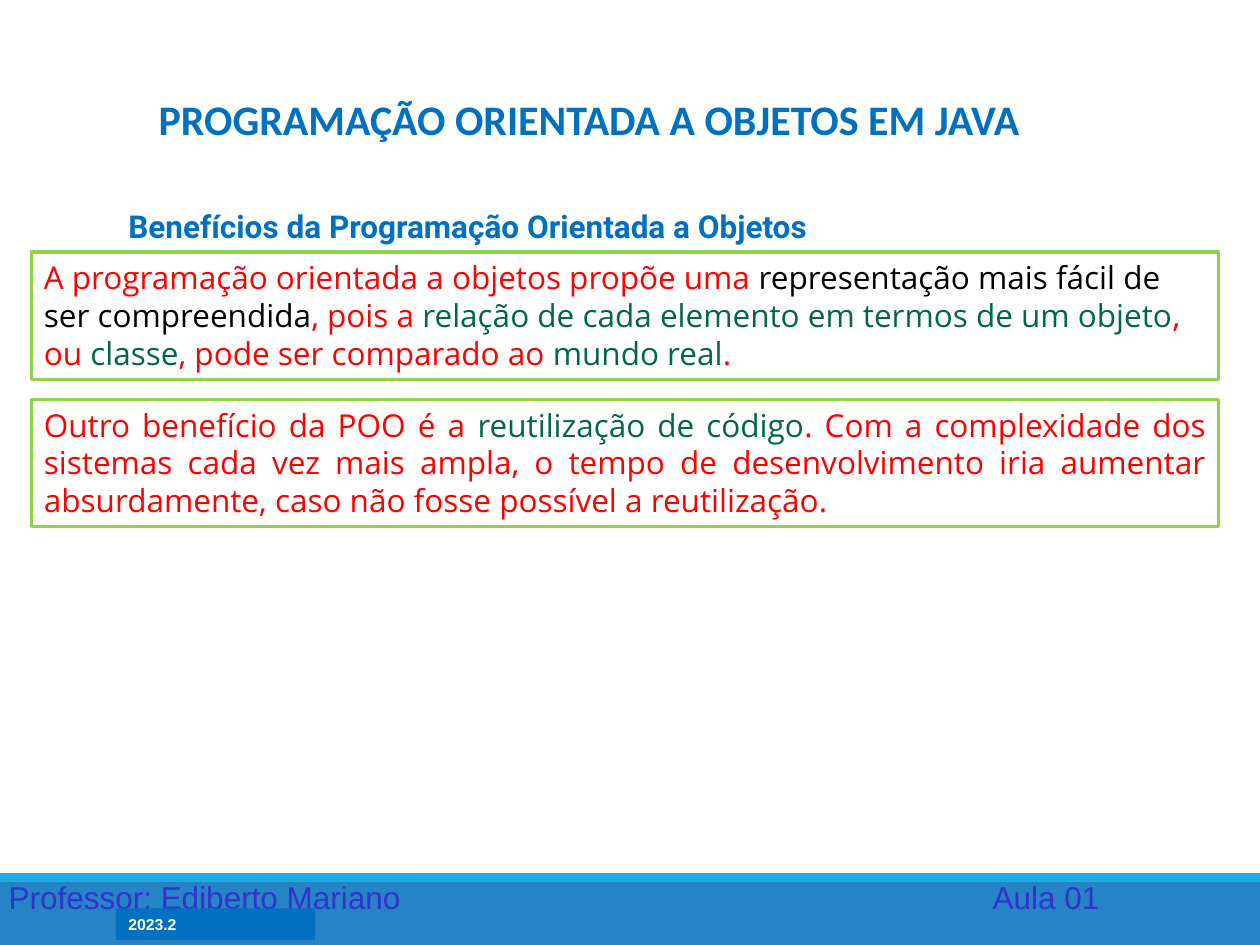
from lxml.etree import SubElement
from pptx import Presentation
from pptx.dml.color import RGBColor
from pptx.enum.shapes import MSO_SHAPE
from pptx.enum.text import MSO_ANCHOR, PP_ALIGN
from pptx.oxml.ns import qn
from pptx.util import Inches, Pt

WIDTH, HEIGHT = 10, 7.5
COLORS = {
    "band": "2683C6",
    "stripe": "1CADE4",
    "blue": "0070C0",
    "footer": "3333CC",
    "frame": "92D050",
    "red": "FF0000",
    "green": "00664D",
    "black": "000000",
    "white": "FFFFFF",
}

FRAME_LEFT, FRAME_WIDTH, FRAME_HEIGHT = 0.25, 9.42, 1.01
FRAME_TOP, FRAME_STEP = 2.0, 1.17

BENEFITS = [
    (PP_ALIGN.LEFT, [
        ("A programação orientada a objetos propõe uma ", "red"),
        ("representação mais fácil de ser compreendida", "black"),
        (", pois a ", "red"),
        ("relação de cada elemento em termos de um objeto", "green"),
        (", ou ", "red"),
        ("classe", "green"),
        (", pode ser comparado ao ", "red"),
        ("mundo real", "green"),
        (".", "red"),
    ]),
    (PP_ALIGN.JUSTIFY, [
        ("Outro benefício da POO é a ", "red"),
        ("reutilização de código", "green"),
        (". Com a complexidade dos sistemas cada vez mais ampla, o tempo de "
         "desenvolvimento iria aumentar absurdamente, caso não fosse possível "
         "a reutilização.", "red"),
    ]),
]


def color(name):
    return RGBColor.from_string(COLORS[name])


def add_rectangle(page, area, fill=None, line=None):
    box = page.shapes.add_shape(MSO_SHAPE.RECTANGLE, *map(Inches, area))
    box.shadow.inherit = False
    if fill:
        box.fill.solid()
        box.fill.fore_color.rgb = color(fill)
    else:
        box.fill.background()
    if line:
        box.line.color.rgb = color(line)
        box.line.width = Pt(1.75)
    else:
        box.line.fill.background()
    return box


def write(box, spans, font, size, bold=False, align=PP_ALIGN.LEFT,
          anchor=MSO_ANCHOR.TOP):
    """Fill the box with one paragraph of (text, color name) spans."""
    frame = box.text_frame
    frame.word_wrap = True
    frame.vertical_anchor = anchor
    para = frame.paragraphs[0]
    para.alignment = align
    for text, tint in spans:
        span = para.add_run()
        span.text = text
        span.font.name = font
        span.font.size = Pt(size)
        span.font.bold = bold
        span.font.color.rgb = color(tint)
    return para


def add_text(page, area, text, tint, font, size, **style):
    box = page.shapes.add_textbox(*map(Inches, area))
    return write(box, [(text, tint)], font, size, **style)


def add_tab_stop(para, position):
    stops = SubElement(para._p.get_or_add_pPr(), qn("a:tabLst"))
    SubElement(stops, qn("a:tab"), pos=str(Inches(position)), algn="l")


def add_footer(page):
    top = 6.93
    add_rectangle(page, (0, top, WIDTH, HEIGHT - top), fill="band")
    add_rectangle(page, (0, top, WIDTH, 0.07), fill="stripe")
    credit = add_text(page, (-0.03, 6.92, 9, 0.4),
                      "Professor: Ediberto Mariano\tAula 01",
                      "footer", "Arial", 18)
    add_tab_stop(credit, 7.81)
    term = add_rectangle(page, (0.92, 7.21, 1.58, 0.25), fill="blue")
    write(term, [("2023.2", "white")], "Arial", 9, bold=True)


def add_benefits(page):
    for row, (align, spans) in enumerate(BENEFITS):
        area = (FRAME_LEFT, FRAME_TOP + row * FRAME_STEP,
                FRAME_WIDTH, FRAME_HEIGHT)
        box = add_rectangle(page, area, line="frame")
        write(box, spans, "Open Sans", 18, align=align)


def main():
    deck = Presentation()
    deck.slide_width, deck.slide_height = Inches(WIDTH), Inches(HEIGHT)
    page = deck.slides.add_slide(deck.slide_layouts[6])
    add_footer(page)
    add_text(page, (1.03, 0.67, 7.29, 0.52),
             "PROGRAMAÇÃO ORIENTADA A OBJETOS EM JAVA", "blue", "Calibri", 24,
             bold=True, align=PP_ALIGN.CENTER, anchor=MSO_ANCHOR.BOTTOM)
    add_benefits(page)
    add_text(page, (0.92, 1.59, FRAME_WIDTH, 0.4),
             "Benefícios da Programação Orientada a Objetos",
             "blue", "Roboto", 18, bold=True)
    deck.save("out.pptx")


if __name__ == "__main__":
    main()
